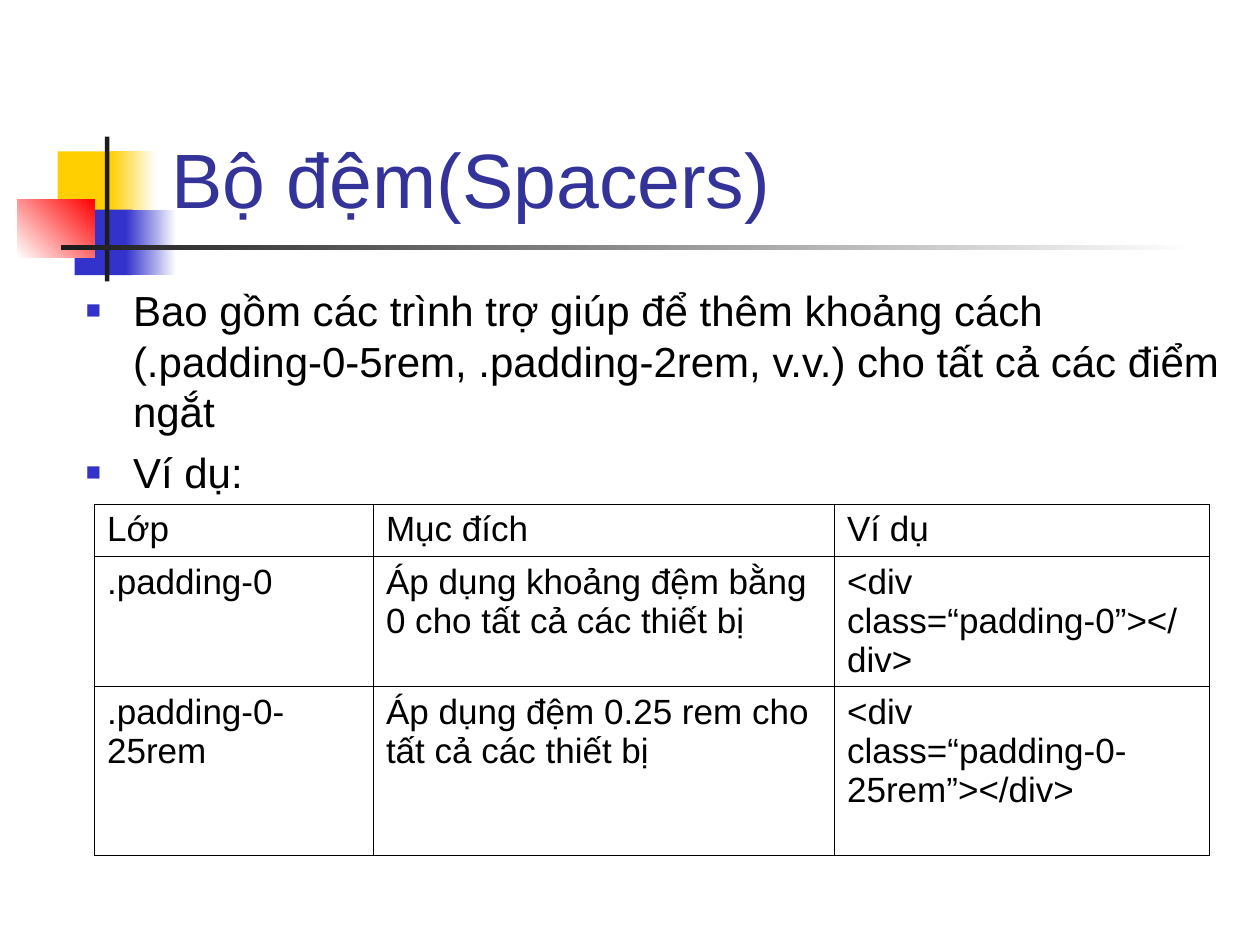
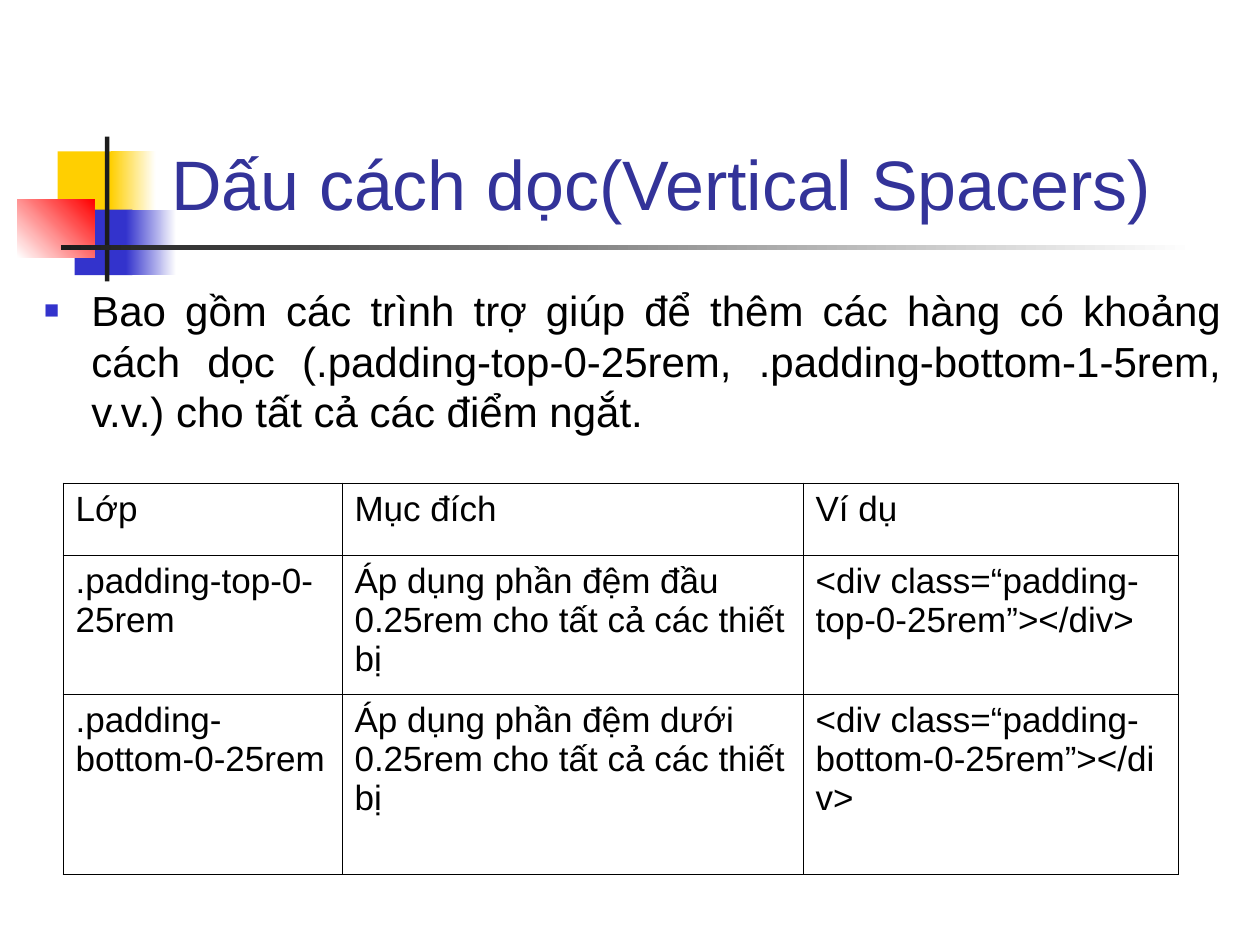
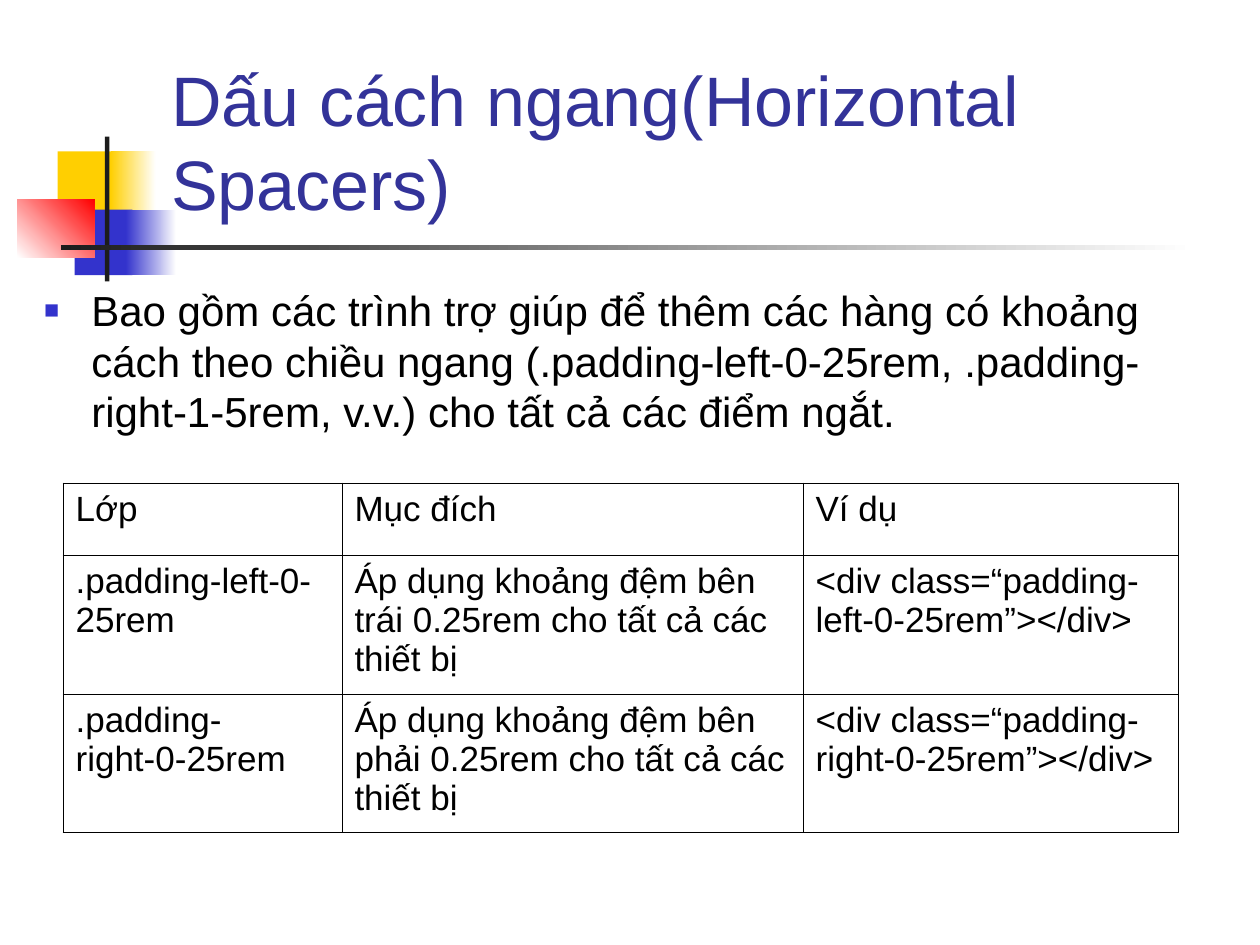
from lxml.etree import SubElement as Sub
from pptx import Presentation
from pptx.dml.color import RGBColor as RGB
from pptx.enum.shapes import MSO_SHAPE as Shape
from pptx.enum.text import MSO_ANCHOR as Anchor, MSO_AUTO_SIZE as Auto, PP_ALIGN as Align
from pptx.oxml.ns import qn
from pptx.util import Pt

FONT = "Arial"
BLACK = RGB(0x00, 0x00, 0x00)
WHITE = RGB(0xFF, 0xFF, 0xFF)
INK = RGB(0x1C, 0x1C, 0x1C)
NAVY = RGB(0x33, 0x33, 0x99)
BLUE = RGB(0x33, 0x33, 0xCC)
GOLD = RGB(0xFF, 0xCF, 0x01)
RED = RGB(0xFF, 0x00, 0x00)

# Left, top, width, height, fill colours (two make a gradient), angle
DECOR = [
    (33, 86.5, 34.5, 37.5, [GOLD], 0),
    (63.2, 86.5, 25.8, 37.5, [GOLD, WHITE], 0),
    (42.7, 119.8, 33, 37.4, [BLUE], 0),
    (72, 119.8, 28.8, 37.4, [BLUE, WHITE], 0),
    (10, 113.8, 44, 33.4, [WHITE, RED], 45),
    (60, 78, 2.5, 82.8, [INK], 0),
    (34.8, 140.2, 648, 2.4, [INK, WHITE], 0),
]
TITLE_BOX = (90.7, 16.6, 613.4, 115.2)
BODY_TOP, BODY_END = 159.1, 705
INDENT = 27
COLS = (159.4, 263.5, 214.3)
HEAD = ("Lớp", "Mục đích", "Ví dụ")

SLIDES = [
    dict(
        title="Bộ đệm(Spacers)", size=44, left=41.8, height=324, align=Align.LEFT,
        points=[
            "Bao gồm các trình trợ giúp để thêm khoảng cách (.padding-0-5rem, "
            ".padding-2rem, v.v.) cho tất cả các điểm ngắt",
            "Ví dụ:",
        ],
        at=(54, 288), heights=(29.8, 74.4, 96.8),
        rows=[
            (".padding-0", "Áp dụng khoảng đệm bằng 0 cho tất cả các thiết bị",
             "<div class=“padding-0”></div>"),
            (".padding-0-25rem", "Áp dụng đệm 0.25 rem cho tất cả các thiết bị",
             "<div class=“padding-0-25rem”></div>"),
        ],
    ),
    dict(
        title="Dấu cách dọc(Vertical Spacers)", size=40, left=18, height=363,
        align=Align.JUSTIFY,
        points=[
            "Bao gồm các trình trợ giúp để thêm các hàng có khoảng cách dọc "
            "(.padding-top-0-25rem, .padding-bottom-1-5rem, v.v.) cho tất cả các điểm ngắt.",
        ],
        at=(36, 276), heights=(41.2, 79.4, 103),
        rows=[
            (".padding-top-0-25rem", "Áp dụng phần đệm đầu 0.25rem cho tất cả các thiết bị",
             "<div class=“padding-top-0-25rem”></div>"),
            (".padding-bottom-0-25rem", "Áp dụng phần đệm dưới 0.25rem cho tất cả các thiết bị",
             "<div class=“padding-bottom-0-25rem”></div>"),
        ],
    ),
    dict(
        title="Dấu cách ngang(Horizontal Spacers)", size=40, left=18, height=363,
        align=Align.LEFT,
        points=[
            "Bao gồm các trình trợ giúp để thêm các hàng có khoảng cách theo chiều ngang "
            "(.padding-left-0-25rem, .padding-right-1-5rem, v.v.) cho tất cả các điểm ngắt.",
        ],
        at=(36, 276), heights=(41.2, 79.4, 79.2),
        rows=[
            (".padding-left-0-25rem", "Áp dụng khoảng đệm bên trái 0.25rem cho tất cả các thiết bị",
             "<div class=“padding-left-0-25rem”></div>"),
            (".padding-right-0-25rem", "Áp dụng khoảng đệm bên phải 0.25rem cho tất cả các thiết bị",
             "<div class=“padding-right-0-25rem”></div>"),
        ],
    ),
]


def place(shape, left, top, width, height):
    shape.left, shape.top = Pt(left), Pt(top)
    shape.width, shape.height = Pt(width), Pt(height)


def style(para, size, color, align=Align.LEFT):
    para.alignment = align
    for run in para.runs:
        run.font.name = FONT
        run.font.size = Pt(size)
        run.font.color.rgb = color


def add_decor(slide, master):
    """Draw the corner blocks and rules on the slide, then move them to the back of the master."""
    tree = master.shapes.element
    for i, (left, top, width, height, colors, angle) in enumerate(DECOR):
        block = slide.shapes.add_shape(
            Shape.RECTANGLE, Pt(left), Pt(top), Pt(width), Pt(height))
        block.shadow.inherit = False
        block.line.fill.background()
        if len(colors) == 1:
            block.fill.solid()
            block.fill.fore_color.rgb = colors[0]
        else:
            block.fill.gradient()
            block.fill.gradient_angle = angle
            for stop, color in zip(block.fill.gradient_stops, colors):
                stop.color.rgb = color
        block.element.nvSpPr.cNvPr.id = 20 + i
        tree.insert(2 + i, block.element)


def add_bullet(para):
    props = para._p.get_or_add_pPr()
    props.set("marL", str(Pt(INDENT)))
    props.set("indent", str(-Pt(INDENT)))
    Sub(Sub(props, qn("a:buClr")), qn("a:srgbClr"), val=str(BLUE))
    Sub(props, qn("a:buSzPct"), val="60000")
    Sub(props, qn("a:buFont"), typeface=FONT)
    Sub(props, qn("a:buChar"), char="■")


def add_title(slide, text, size):
    title = slide.shapes.title
    place(title, *TITLE_BOX)
    frame = title.text_frame
    frame.text = text
    frame.auto_size = Auto.NONE
    frame.vertical_anchor = Anchor.BOTTOM
    style(frame.paragraphs[0], size, NAVY)


def add_body(slide, points, left, height, align):
    body = slide.placeholders[1]
    place(body, left, BODY_TOP, BODY_END - left, height)
    frame = body.text_frame
    frame.text = "\n".join(points)
    frame.auto_size = Auto.NONE
    for i, para in enumerate(frame.paragraphs):
        add_bullet(para)
        para.space_before = Pt(6 if i else 0)
        style(para, 24, BLACK, align)


def add_border(cell):
    props = cell._tc.get_or_add_tcPr()
    for i, side in enumerate(("lnL", "lnR", "lnT", "lnB")):
        line = props.makeelement(qn("a:" + side), {"w": str(Pt(0.45))})
        Sub(Sub(line, qn("a:solidFill")), qn("a:srgbClr"), val=str(BLACK))
        props.insert(i, line)


def add_grid(slide, rows, at, heights):
    left, top = at
    table = slide.shapes.add_table(
        len(rows), len(COLS), Pt(left), Pt(top), Pt(sum(COLS)), Pt(sum(heights))).table
    table.first_row = table.horz_banding = False
    for col, width in zip(table.columns, COLS):
        col.width = Pt(width)
    for row, height, texts in zip(table.rows, heights, rows):
        row.height = Pt(height)
        for cell, text in zip(row.cells, texts):
            cell.text_frame.text = text
            cell.fill.background()
            add_border(cell)
            style(cell.text_frame.paragraphs[0], 20, BLACK)


def main():
    deck = Presentation()
    deck.slide_width, deck.slide_height = Pt(720), Pt(540)
    for i, page in enumerate(SLIDES):
        slide = deck.slides.add_slide(deck.slide_layouts[1])
        if i == 0:
            add_decor(slide, deck.slide_master)
        add_title(slide, page["title"], page["size"])
        add_body(slide, page["points"], page["left"], page["height"], page["align"])
        add_grid(slide, [HEAD, *page["rows"]], page["at"], page["heights"])
    deck.save("out.pptx")


if __name__ == "__main__":
    main()
